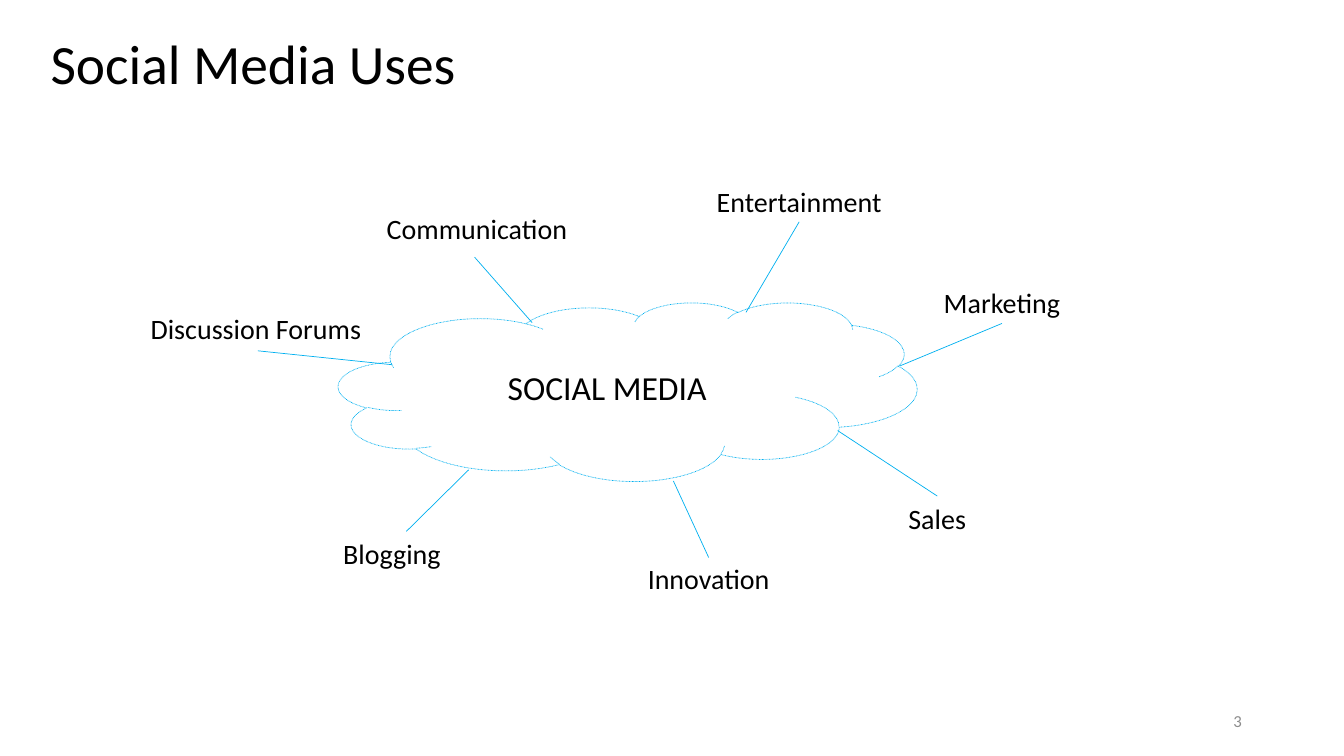
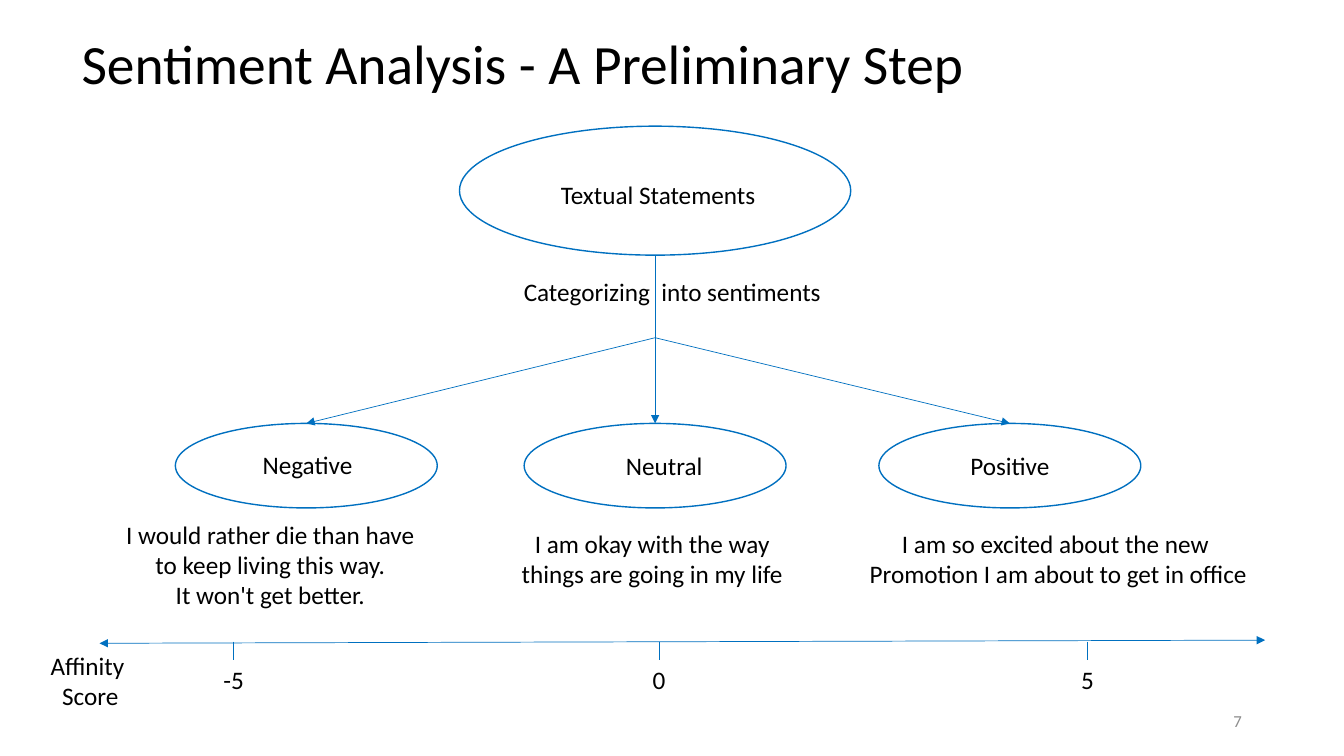
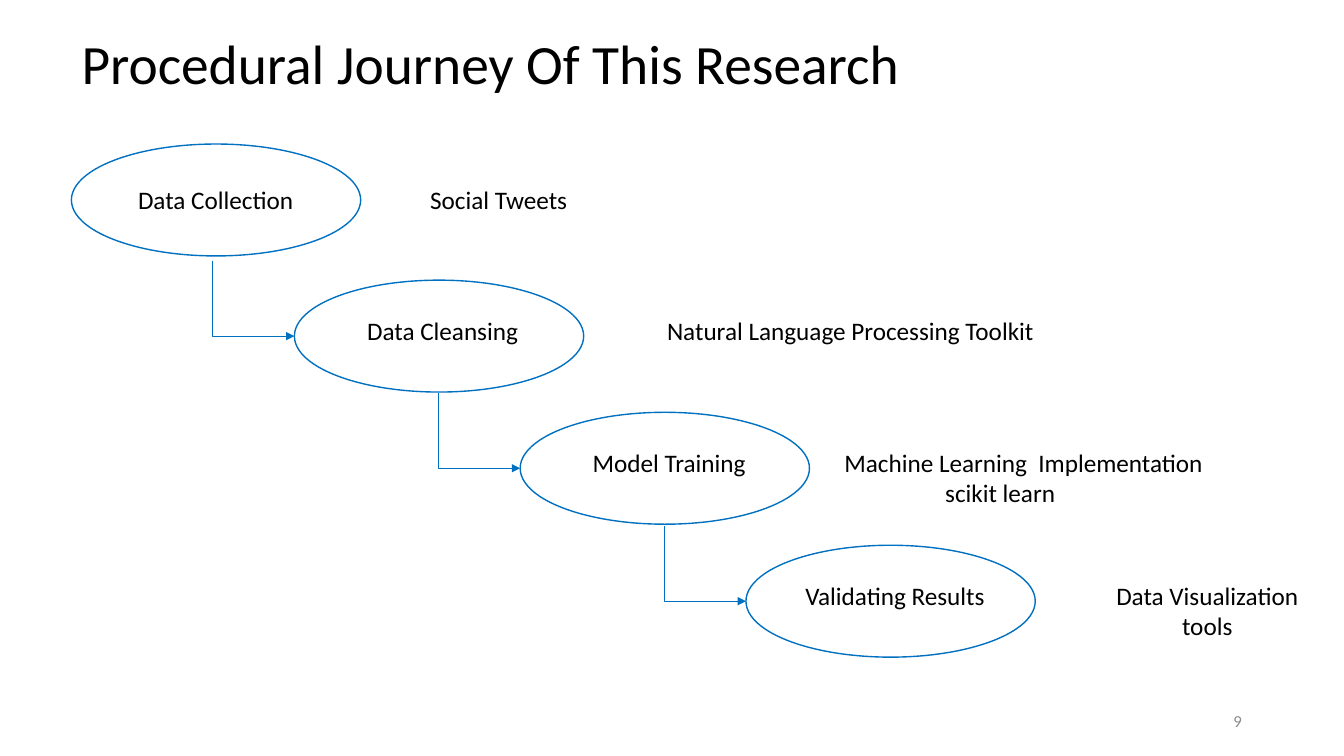
from dataclasses import dataclass
from typing import NamedTuple

from lxml.etree import SubElement
from pptx import Presentation
from pptx.dml.color import RGBColor
from pptx.enum.dml import MSO_LINE
from pptx.enum.shapes import MSO_CONNECTOR, MSO_SHAPE
from pptx.enum.text import MSO_ANCHOR, MSO_AUTO_SIZE, PP_ALIGN
from pptx.oxml.ns import qn
from pptx.util import Cm, Pt

STRAIGHT, ELBOW = MSO_CONNECTOR.STRAIGHT, MSO_CONNECTOR.ELBOW
OVAL, CLOUD = MSO_SHAPE.OVAL, MSO_SHAPE.CLOUD
LEFT, CENTER, RIGHT = PP_ALIGN.LEFT, PP_ALIGN.CENTER, PP_ALIGN.RIGHT
MIDDLE, TOP = MSO_ANCHOR.MIDDLE, MSO_ANCHOR.TOP
NO_FIT = MSO_AUTO_SIZE.NONE
DOTTED = MSO_LINE.ROUND_DOT

FONT = "Calibri"
COLORS = {"text": "000000", "number": "8C8C8C", "paper": "FFFFFF",
          "sky": "00B0F0", "blue": "0070C0"}
TITLE_ONLY = 5
LINE_H, TWO_LINES_H = 1.02, 1.8


class Box(NamedTuple):
    """Left, top, width and height in centimetres."""
    x: float
    y: float
    w: float
    h: float


class Point(NamedTuple):
    """A position in centimetres."""
    x: float
    y: float


@dataclass
class Topic:
    """A use of social media and the line joining it to the cloud."""
    name: str
    label: Point
    cloud_end: Point
    label_end: Point


@dataclass
class Sentiment:
    """A sentiment class with an example statement and its score."""
    name: str
    oval_x: float
    label: Point
    statement: list[str]
    statement_box: Box
    score: str
    tick_x: float


@dataclass
class Step:
    """A research step with the note beside it."""
    name: str
    oval: Point
    label: Point
    note: list[str]
    note_x: float
    note_w: float
    note_align: PP_ALIGN = LEFT


def rgb(name: str) -> RGBColor:
    """Look up a palette colour."""
    return RGBColor.from_string(COLORS[name])


def cm(values) -> list:
    """Convert centimetre numbers to lengths."""
    return [Cm(v) for v in values]


def write(sp, lines, *, size=18, color="text", align=CENTER, anchor=TOP,
          spacing=None):
    """Fill a shape with formatted paragraphs, one per line."""
    tf = sp.text_frame
    tf.word_wrap = True
    tf.auto_size = NO_FIT
    tf.vertical_anchor = anchor
    for i, line in enumerate([lines] if isinstance(lines, str) else lines):
        p = tf.paragraphs[0] if i == 0 else tf.add_paragraph()
        p.alignment = align
        p.line_spacing = spacing
        r = p.add_run()
        r.text = line
        r.font.name = FONT
        r.font.size = Pt(size)
        r.font.color.rgb = rgb(color)


def add_text(s, box: Box, lines, **fmt):
    """Add a text box."""
    sp = s.shapes.add_textbox(*cm(box))
    write(sp, lines, **fmt)
    return sp


def add_outline(s, kind, box: Box, color: str, width: float):
    """Add an unfilled preset shape."""
    sp = s.shapes.add_shape(kind, *cm(box))
    sp.shadow.inherit = False
    sp.fill.background()
    sp.line.color.rgb = rgb(color)
    sp.line.width = Pt(width)
    return sp


def add_line(s, start: Point, end: Point, color="blue", ends=(), kind=STRAIGHT):
    """Add a thin connector; ends names its arrowheads."""
    c = s.shapes.add_connector(kind, *cm(start), *cm(end))
    c.line.color.rgb = rgb(color)
    c.line.width = Pt(0.5)
    props = c._element.spPr
    for end_tag in ends:
        SubElement(props.find(qn("a:ln")), qn(end_tag), type="triangle")
    SubElement(props, qn("a:effectLst"))
    return c


def add_corner_arrow(s, start: Point, end: Point):
    """Add an arrow that runs down and then right."""
    mid_x, mid_y = (start.x + end.x) / 2, (start.y + end.y) / 2
    half_w, half_h = (end.y - start.y) / 2, (end.x - start.x) / 2
    c = add_line(s, Point(mid_x - half_w, mid_y - half_h),
                 Point(mid_x + half_w, mid_y + half_h),
                 ends=["a:tailEnd"], kind=ELBOW)
    props = c._element.spPr
    props.find(qn("a:prstGeom")).set("prst", "bentConnector2")
    props.find(qn("a:xfrm")).set("rot", str(270 * 60000))
    props.find(qn("a:xfrm")).set("flipH", "1")


def add_slide(prs, title: str, box: Box, number: int):
    """Add a slide with its title and page number."""
    s = prs.slides.add_slide(prs.slide_layouts[TITLE_ONLY])
    sp = s.shapes.title
    sp.left, sp.top, sp.width, sp.height = cm(box)
    write(sp, title, size=39.6, align=LEFT, anchor=MIDDLE, spacing=0.9)
    add_text(s, Box(23.93, 17.65, 7.62, LINE_H), str(number), size=12,
             color="number", align=RIGHT, anchor=MIDDLE)
    return s


TOPICS = [
    Topic("Entertainment", Point(16.76, 4.52), Point(18.8, 7.87), Point(20.14, 5.59)),
    Topic("Marketing", Point(21.87, 7.06), Point(22.68, 9.22), Point(25.25, 8.15)),
    Topic("Sales", Point(20.24, 12.52), Point(21.11, 10.85), Point(23.62, 12.5)),
    Topic("Innovation", Point(14.48, 14.02), Point(16.97, 12.12), Point(17.86, 14.05)),
    Topic("Blogging", Point(6.5, 13.39), Point(11.81, 11.84), Point(10.24, 13.39)),
    Topic("Discussion Forums", Point(3.07, 7.72), Point(9.88, 9.19), Point(6.5, 8.84)),
    Topic("Communication", Point(8.64, 5.21), Point(13.41, 8.13), Point(11.96, 6.48)),
]

SENTIMENTS = [
    Sentiment("Negative", 4.42, Point(5.16, 11.2),
              ["I would rather die than have ", "to keep living this way. ",
               "It won't get better. "],
              Box(2.87, 12.95, 8.03, 2.57), "-5", 5.89),
    Sentiment("Neutral", 13.21, Point(14.15, 11.23),
              ["I am okay with the way ", "things are going in my life "],
              Box(12.85, 13.18, 7.32, TWO_LINES_H), "0", 16.61),
    Sentiment("Positive", 22.15, Point(22.86, 11.23),
              ["I am so excited about the new ",
               "Promotion I am about to get in office"],
              Box(21.59, 13.18, 10.16, TWO_LINES_H), "5", 27.41),
]

STEPS = [
    Step("Data Collection", Point(1.8, 3.63), Point(2.31, 4.52),
         ["Social Tweets "], 10.59, 4.5),
    Step("Data Cleansing", Point(7.42, 7.06), Point(8.03, 7.82),
         ["Natural Language Processing Toolkit"], 16.56, 9.86),
    Step("Model Training", Point(13.11, 10.39), Point(13.74, 11.15),
         ["Machine Learning  Implementation", "scikit learn"], 21.03, 9.65),
    Step("Validating Results", Point(18.8, 13.74), Point(19.43, 14.5),
         ["Data Visualization tools"], 27.43, 5.99, CENTER),
]


def build_uses(prs):
    """Draw the cloud of social media uses."""
    s = add_slide(prs, "Social Media Uses", Box(1.02, 0.79, 24.77, 1.75), 3)
    cloud = add_outline(s, CLOUD, Box(8.53, 7.62, 14.58, 4.5), "sky", 0.5)
    cloud.fill.solid()
    cloud.fill.fore_color.rgb = rgb("paper")
    cloud.line.dash_style = DOTTED
    write(cloud, "SOCIAL MEDIA", size=24, anchor=MIDDLE)
    for t in TOPICS:
        add_line(s, t.cloud_end, t.label_end, "sky")
        add_text(s, Box(*t.label, 6.76, 1.12), t.name, size=20)


def build_sentiments(prs):
    """Draw the sentiment tree above the affinity scale."""
    s = add_slide(prs, "Sentiment Analysis - A Preliminary Step ",
                  Box(1.8, 0.81, 30.71, 1.75), 7)
    oval_w, oval_h, oval_y = 6.6, 2.13, 10.67
    score_w = 1.98
    fork = Point(16.51, 8.51)
    add_outline(s, OVAL, Box(11.58, 3.18, 9.86, 3.25), "blue", 1)
    add_text(s, Box(12.37, 4.39, 8.43, LINE_H), "Textual Statements")
    add_line(s, Point(fork.x, 6.43), fork)
    add_text(s, Box(12.95, 6.83, 8.43, LINE_H), "Categorizing  into sentiments",
             align=LEFT)
    add_line(s, Point(2.51, 16.21), Point(31.88, 16.13),
             ends=["a:headEnd", "a:tailEnd"])
    for m in SENTIMENTS:
        add_outline(s, OVAL, Box(m.oval_x, oval_y, oval_w, oval_h), "blue", 1)
        add_text(s, Box(*m.label, 5.18, LINE_H), m.name)
        add_line(s, fork, Point(m.oval_x + oval_w / 2, oval_y), ends=["a:tailEnd"])
        add_text(s, m.statement_box, m.statement)
        add_line(s, Point(m.tick_x, 16.17), Point(m.tick_x, 16.63))
        add_text(s, Box(m.tick_x - score_w / 2, 16.62, score_w, LINE_H), m.score)
    add_text(s, Box(0.74, 16.26, 3.07, TWO_LINES_H), ["Affinity ", "Score"])


def build_journey(prs):
    """Draw the staircase of research steps."""
    s = add_slide(prs, "Procedural Journey Of This Research",
                  Box(1.8, 0.81, 24.77, 1.75), 9)
    oval_w, oval_h = 7.29, 2.82
    for i, step in enumerate(STEPS):
        add_outline(s, OVAL, Box(*step.oval, oval_w, oval_h), "blue", 1)
        add_text(s, Box(*step.label, 6.25, LINE_H), step.name)
        note_h = LINE_H if i < 2 else TWO_LINES_H
        note = add_text(s, Box(step.note_x, step.label.y, step.note_w, note_h),
                        step.note, align=step.note_align)
        for p in note.text_frame.paragraphs[1:]:
            p._p.get_or_add_pPr().set("marL", str(Cm(2.54)))
        if i:
            tip = Point(step.oval.x, step.oval.y + oval_h / 2)
            add_corner_arrow(s, Point(tip.x - 2.06, tip.y - 1.9), tip)


def main():
    """Build and save the presentation."""
    prs = Presentation()
    prs.slide_width, prs.slide_height = Cm(33.87), Cm(19.05)
    build_uses(prs)
    build_sentiments(prs)
    build_journey(prs)
    prs.save("out.pptx")


main()
